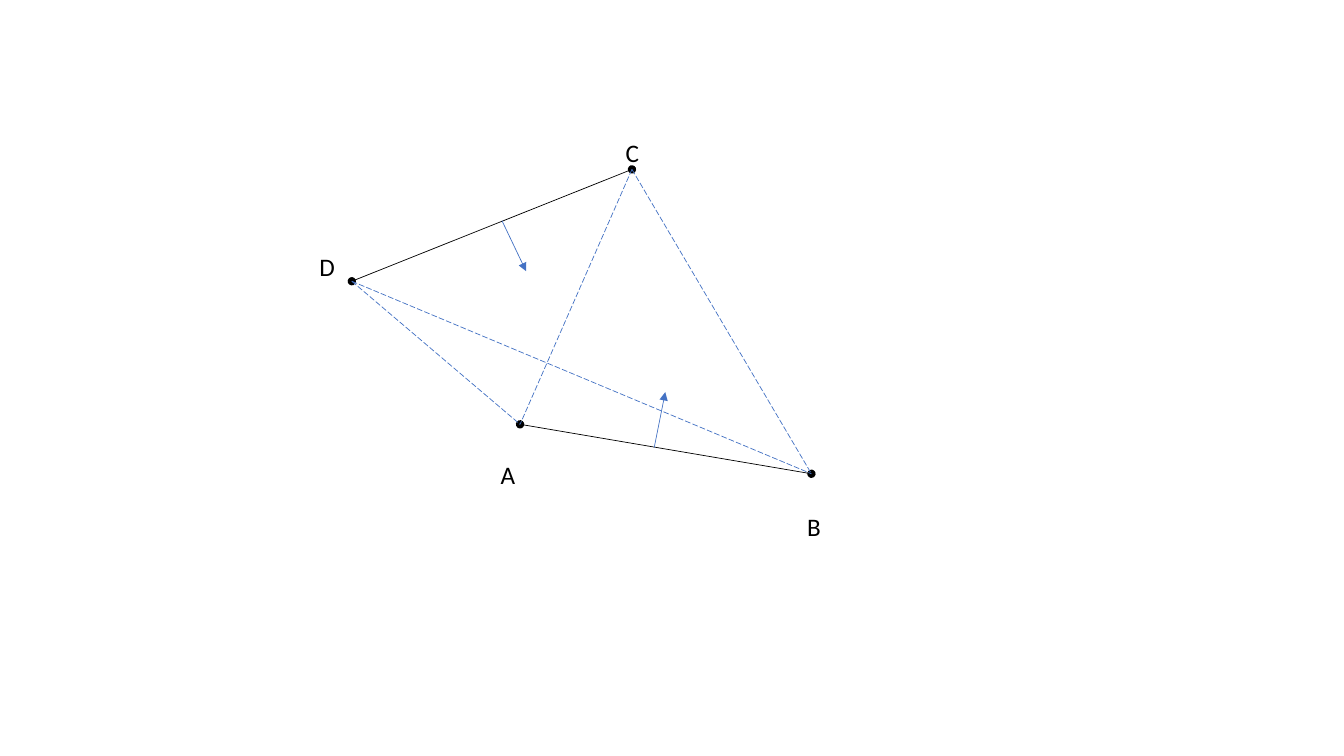
"""Draw segments AB and CD with the dashed lines that join their ends."""
from dataclasses import dataclass
from typing import NamedTuple

from lxml.etree import SubElement
from pptx import Presentation
from pptx.dml.color import RGBColor
from pptx.enum.dml import MSO_LINE
from pptx.enum.shapes import MSO_CONNECTOR
from pptx.enum.text import MSO_AUTO_SIZE
from pptx.oxml.ns import qn
from pptx.slide import Slide
from pptx.util import Pt


@dataclass(frozen=True)
class Theme:
    ink: RGBColor = RGBColor(0x00, 0x00, 0x00)
    accent: RGBColor = RGBColor(0x44, 0x72, 0xC4)
    font: str = "Calibri"
    label_size: float = 18
    line_width: float = 0.5


class Point(NamedTuple):
    x: float
    y: float


class Line(NamedTuple):
    start: Point
    end: Point
    color: RGBColor
    dashed: bool = False
    head: str = ""
    tail: str = ""


class Label(NamedTuple):
    text: str
    left: float
    top: float
    width: float


THEME = Theme()
LABEL_HEIGHT = 28.8
A, B = Point(371.5, 303.1), Point(579.6, 338.4)
C, D = Point(451.4, 121), Point(251.3, 200.9)

SEGMENTS = [Line(p, q, THEME.ink, head="oval", tail="oval") for p, q in ((D, C), (A, B))]
JOINS = [Line(p, q, THEME.accent, dashed=True) for p, q in ((C, B), (C, A), (D, A), (D, B))]
LABELS = [
    Label("A", 350.6, 324.7, 25.2),
    Label("B", 569.5, 361.4, 24.5),
    Label("C", 439.9, 94.3, 24.5),
    Label("D", 221, 175.7, 25.9),
]
NORMALS = [
    Line(Point(358.6, 157.7), Point(375.8, 193.7), THEME.accent, tail="triangle"),
    Line(Point(467.3, 319.7), Point(475.2, 280.1), THEME.accent, tail="triangle"),
]


def draw_line(s: Slide, line: Line) -> None:
    """Add one straight line with its dash and line ends."""
    sp = s.shapes.add_connector(
        MSO_CONNECTOR.STRAIGHT, *(Pt(v) for v in (*line.start, *line.end))
    )
    sp.line.color.rgb = line.color
    sp.line.width = Pt(THEME.line_width)
    if line.dashed:
        sp.line.dash_style = MSO_LINE.LONG_DASH
    ln = sp.line._get_or_add_ln()
    for tag, kind in (("a:headEnd", line.head), ("a:tailEnd", line.tail)):
        if kind:
            SubElement(ln, qn(tag), type=kind)
    SubElement(sp._element.spPr, qn("a:effectLst"))


def draw_label(s: Slide, label: Label) -> None:
    """Add the letter that names a point."""
    box = (label.left, label.top, label.width, LABEL_HEIGHT)
    tf = s.shapes.add_textbox(*(Pt(v) for v in box)).text_frame
    tf.word_wrap = False
    tf.auto_size = MSO_AUTO_SIZE.SHAPE_TO_FIT_TEXT
    r = tf.paragraphs[0].add_run()
    r.text = label.text
    r.font.name = THEME.font
    r.font.size = Pt(THEME.label_size)
    r.font.color.rgb = THEME.ink


def main() -> None:
    """Build the slide and save it."""
    prs = Presentation()
    prs.slide_width, prs.slide_height = Pt(960), Pt(540)
    s = prs.slides.add_slide(prs.slide_layouts[6])
    for line in SEGMENTS + JOINS:
        draw_line(s, line)
    for label in LABELS:
        draw_label(s, label)
    for line in NORMALS:
        draw_line(s, line)
    prs.save("out.pptx")


if __name__ == "__main__":
    main()
